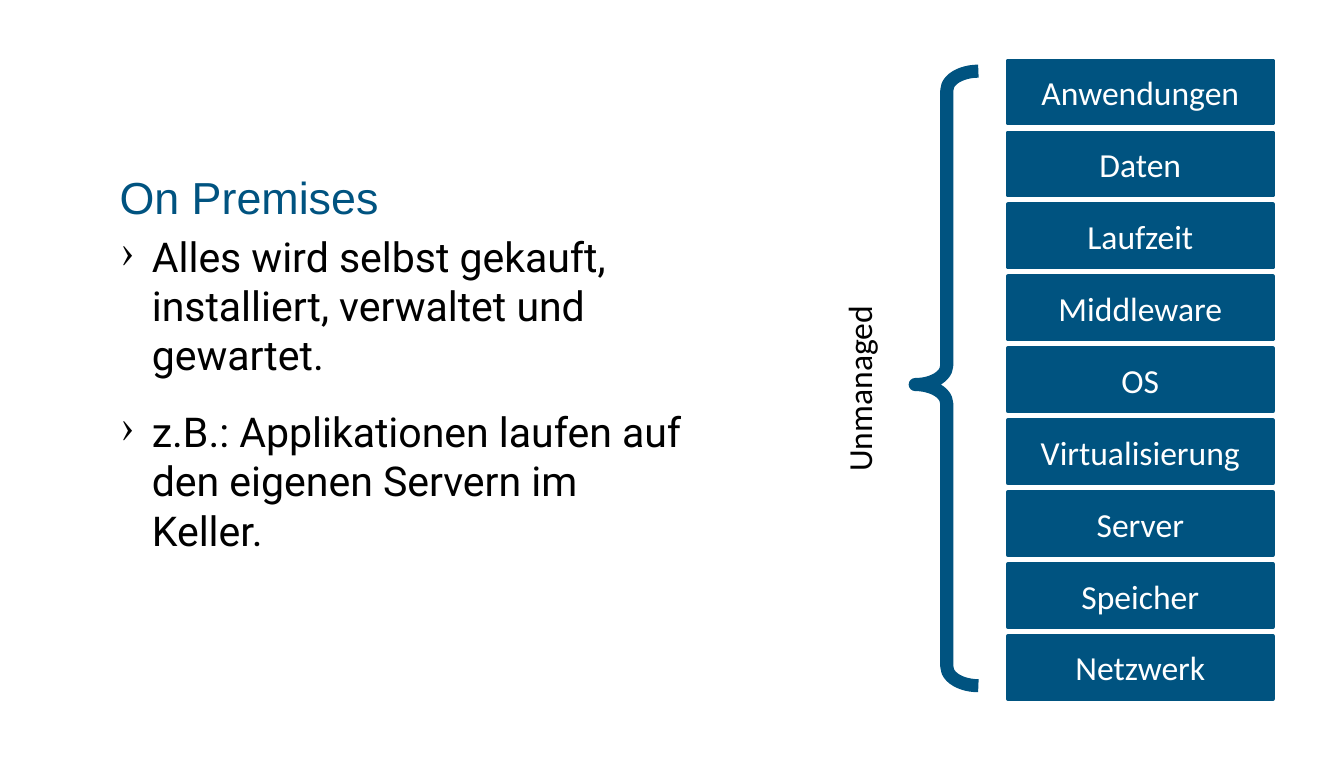
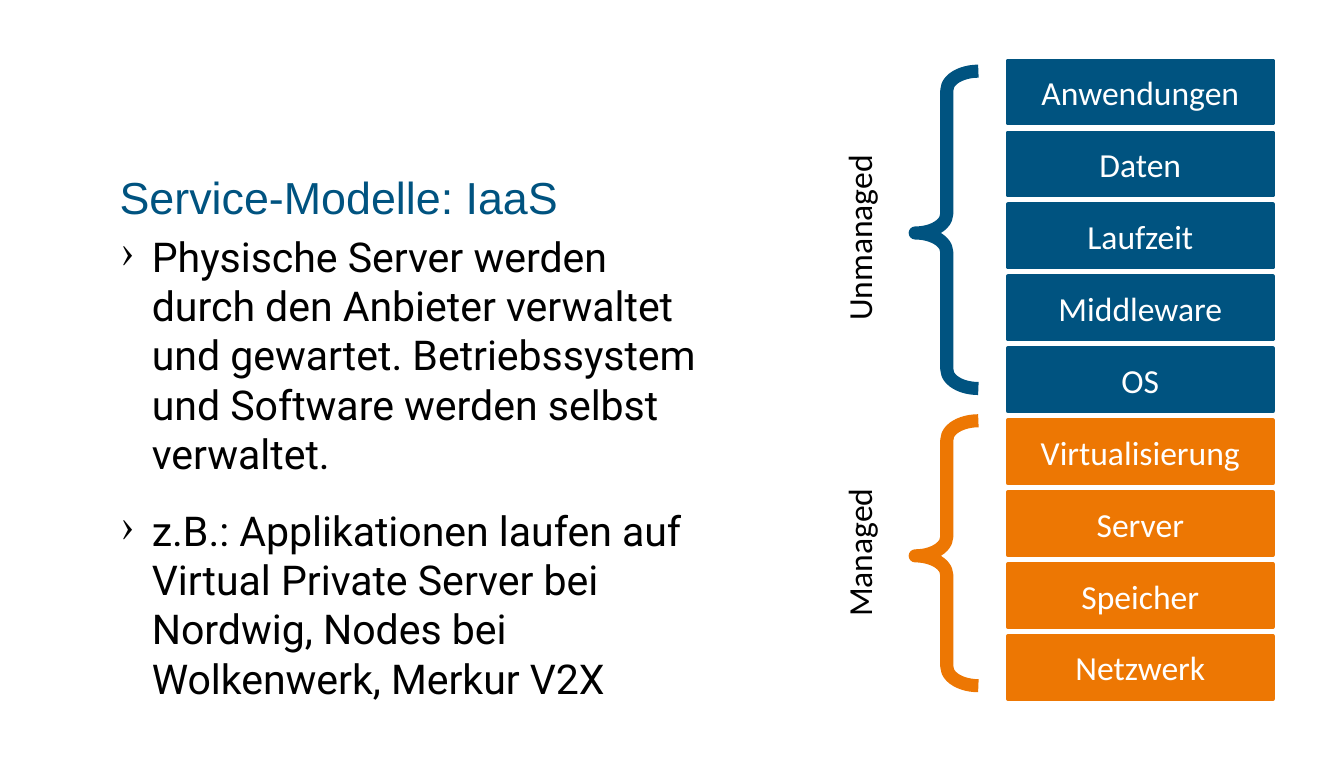
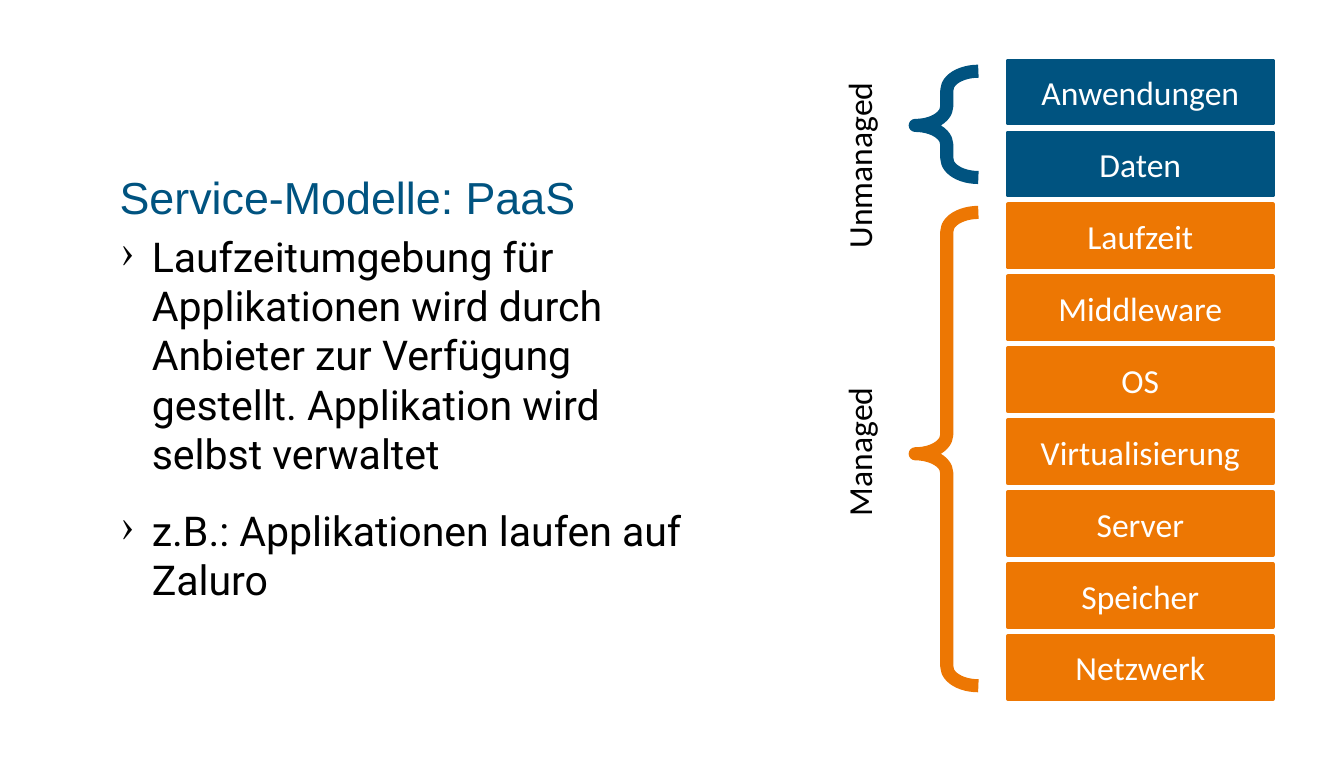
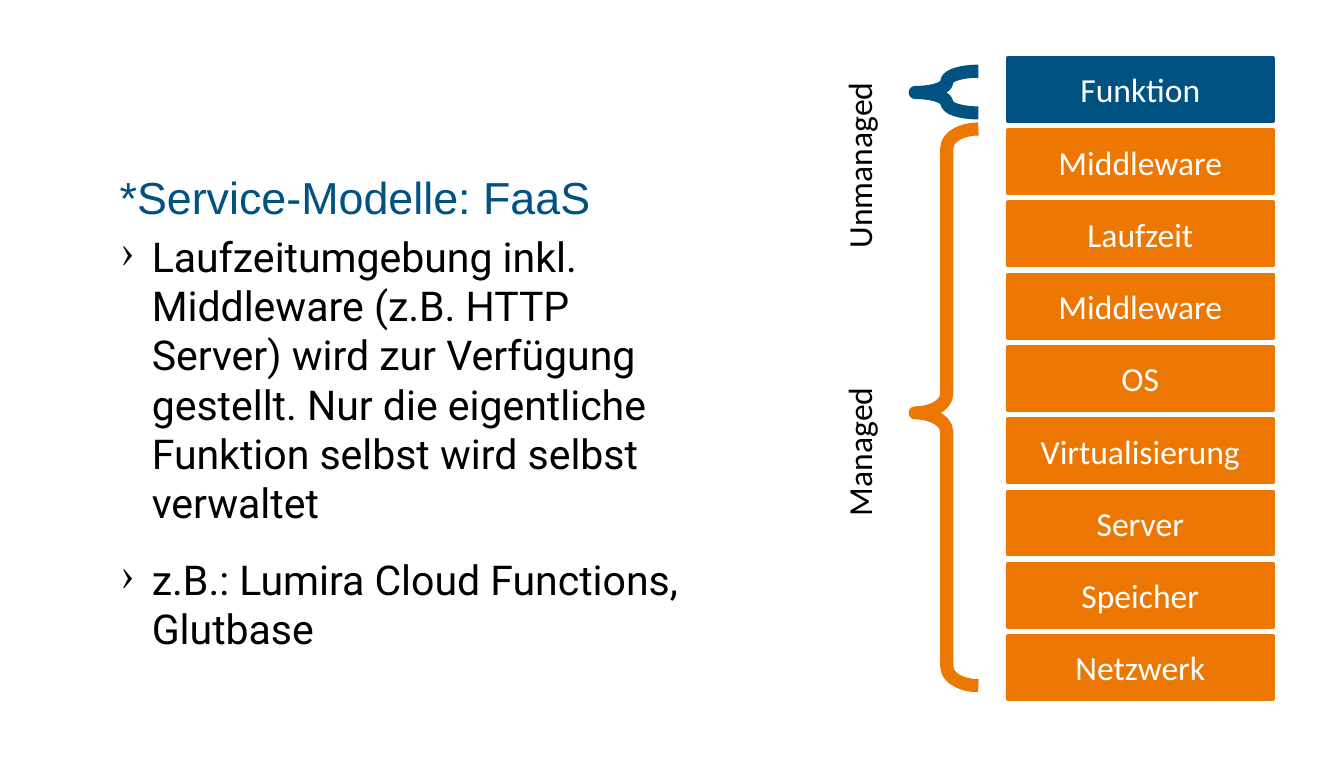
from lxml.etree import SubElement as Sub
from pptx import Presentation
from pptx.dml.color import RGBColor
from pptx.enum.shapes import MSO_SHAPE as Shape
from pptx.enum.text import MSO_ANCHOR as Anchor, PP_ALIGN as Align
from pptx.oxml.ns import qn
from pptx.util import Inches, Pt

BLUE, ORANGE, BLACK, WHITE = "005380", "ED7703", "000000", "FFFFFF"
LAYERS = ["Anwendungen", "Daten", "Laufzeit", "Middleware", "OS",
          "Virtualisierung", "Server", "Speicher", "Netzwerk"]
LAST_TOP = 4.73
BRACE_END = 5.1

# Each group: label, colour, number of layers, brace top, brace end,
# label width, label middle
MODELS = [
    dict(title="On Premises",
         points=["Alles wird selbst gekauft, installiert, verwaltet und "
                 "gewartet.",
                 "z.B.: Applikationen laufen auf den eigenen Servern im "
                 "Keller."],
         groups=[("Unmanaged", BLUE, 9, 0.53, BRACE_END, 2.6, 2.89)]),
    dict(title="Service-Modelle: IaaS", height=3.63,
         points=["Physische Server werden durch den Anbieter verwaltet und "
                 "gewartet. Betriebssystem und Software werden selbst "
                 "verwaltet.",
                 "z.B.: Applikationen laufen auf Virtual Private Server bei "
                 "Nordwig, Nodes bei Wolkenwerk, Merkur V2X"],
         groups=[("Unmanaged", BLUE, 5, 0.53, 2.89, 2.6, 1.77),
                 ("Managed", ORANGE, 4, 3.13, BRACE_END, 2.42, 4.11)]),
    dict(title="Service-Modelle: PaaS",
         points=["Laufzeitumgebung für Applikationen wird durch Anbieter zur "
                 "Verfügung gestellt. Applikation wird selbst verwaltet",
                 "z.B.: Applikationen laufen auf Zaluro"],
         groups=[("Unmanaged", BLUE, 2, 0.53, 1.32, 1.5, 1.23),
                 ("Managed", ORANGE, 7, 1.58, BRACE_END, 2.42, 3.36)]),
    dict(title="*Service-Modelle: FaaS", top=0.43,
         layers=["Funktion", "Middleware"] + LAYERS[2:],
         points=["Laufzeitumgebung inkl. Middleware (z.B. HTTP Server) wird "
                 "zur Verfügung gestellt. Nur die eigentliche Funktion selbst "
                 "wird selbst verwaltet",
                 "z.B.: Lumira Cloud Functions, Glutbase"],
         groups=[("Unmanaged", BLUE, 1, 0.53, 0.84, 1.5, 1.23),
                 ("Managed", ORANGE, 8, 0.96, BRACE_END, 2.42, 3.36)]),
]


def rgb(code):
    return RGBColor.from_string(code)


def style(para, size, font, color, align=Align.LEFT):
    para.alignment = align
    for run in para.runs:
        run.font.size = Pt(size)
        run.font.name = font
        run.font.color.rgb = rgb(color)


def add_text(slide, box, insets):
    """Add an empty wrapping text box and return it."""
    shape = slide.shapes.add_textbox(*map(Inches, box))
    frame = shape.text_frame
    frame.word_wrap = True
    (frame.margin_left, frame.margin_top,
     frame.margin_right, frame.margin_bottom) = map(Inches, insets)
    return shape


def add_title(slide, text):
    box = add_text(slide, (0.81, 1.18, 8.92, 0.45), (0.08, 0.08, 0.08, 0))
    box.text_frame.text = text
    style(box.text_frame.paragraphs[0], 24, "Arial", BLUE)


def add_bullet(para):
    props = para._p.get_or_add_pPr()
    props.set("marL", str(Inches(0.24)))
    props.set("indent", str(Inches(-0.23)))
    Sub(Sub(props, qn("a:buClr")), qn("a:srgbClr")).set("val", BLACK)
    Sub(props, qn("a:buChar")).set("char", "›")


def add_points(slide, points, height):
    box = add_text(slide, (0.81, 1.68, 4.45, height), (0.08, 0.04, 0.08, 0.04))
    frame = box.text_frame
    frame.text = "\n".join(points)
    for para in frame.paragraphs:
        para.space_before = Pt(14.7)
        style(para, 22, "Roboto", BLACK)
        add_bullet(para)


def add_form(slide, kind, box, color, width):
    """Add a preset shape with a round-joined outline and no shadow."""
    shape = slide.shapes.add_shape(kind, *map(Inches, box))
    shape.shadow.inherit = False
    shape.line.color.rgb = rgb(color)
    shape.line.width = Pt(width)
    Sub(shape.line._get_or_add_ln(), qn("a:round"))
    return shape


def add_layer(slide, text, top, color):
    shape = add_form(slide, Shape.RECTANGLE, (7.5, top, 1.97, 0.47), color, 2)
    shape.fill.solid()
    shape.fill.fore_color.rgb = rgb(color)
    frame = shape.text_frame
    frame.vertical_anchor = Anchor.MIDDLE
    frame.text = text
    style(frame.paragraphs[0], 18, "Calibri", WHITE, Align.CENTER)


def add_stack(slide, layers, groups, top):
    colors = [color for _, color, count, *_ in groups for _ in range(count)]
    pitch = (LAST_TOP - top) / (len(layers) - 1)
    for i, (text, color) in enumerate(zip(layers, colors)):
        add_layer(slide, text, top + i * pitch, color)


def add_brace(slide, top, end, color):
    brace = add_form(slide, Shape.LEFT_BRACE, (6.81, top, 0.47, end - top),
                     color, 7)
    brace.fill.background()
    brace.adjustments[0] = 0.303
    brace.adjustments[1] = 0.51


def add_label(slide, text, width, middle):
    """Add a label that reads upwards, centred on the given height."""
    box = add_text(slide, (6.39 - width / 2, middle - 0.2, width, 0.4),
                   (0.1, 0.05, 0.1, 0.05))
    box.rotation = 270
    box.text_frame.text = text
    style(box.text_frame.paragraphs[0], 18, "Calibri", BLACK, Align.CENTER)


def add_model(slide, title, points, groups, layers=LAYERS, top=0.45,
              height=3.26):
    add_title(slide, title)
    add_points(slide, points, height)
    add_stack(slide, layers, groups, top)
    for label, color, _, start, end, width, middle in groups:
        add_brace(slide, start, end, color)
        add_label(slide, label, width, middle)


def main():
    deck = Presentation()
    deck.slide_width, deck.slide_height = Inches(10), Inches(5.63)
    for model in MODELS:
        add_model(deck.slides.add_slide(deck.slide_layouts[6]), **model)
    deck.save("out.pptx")


if __name__ == "__main__":
    main()
